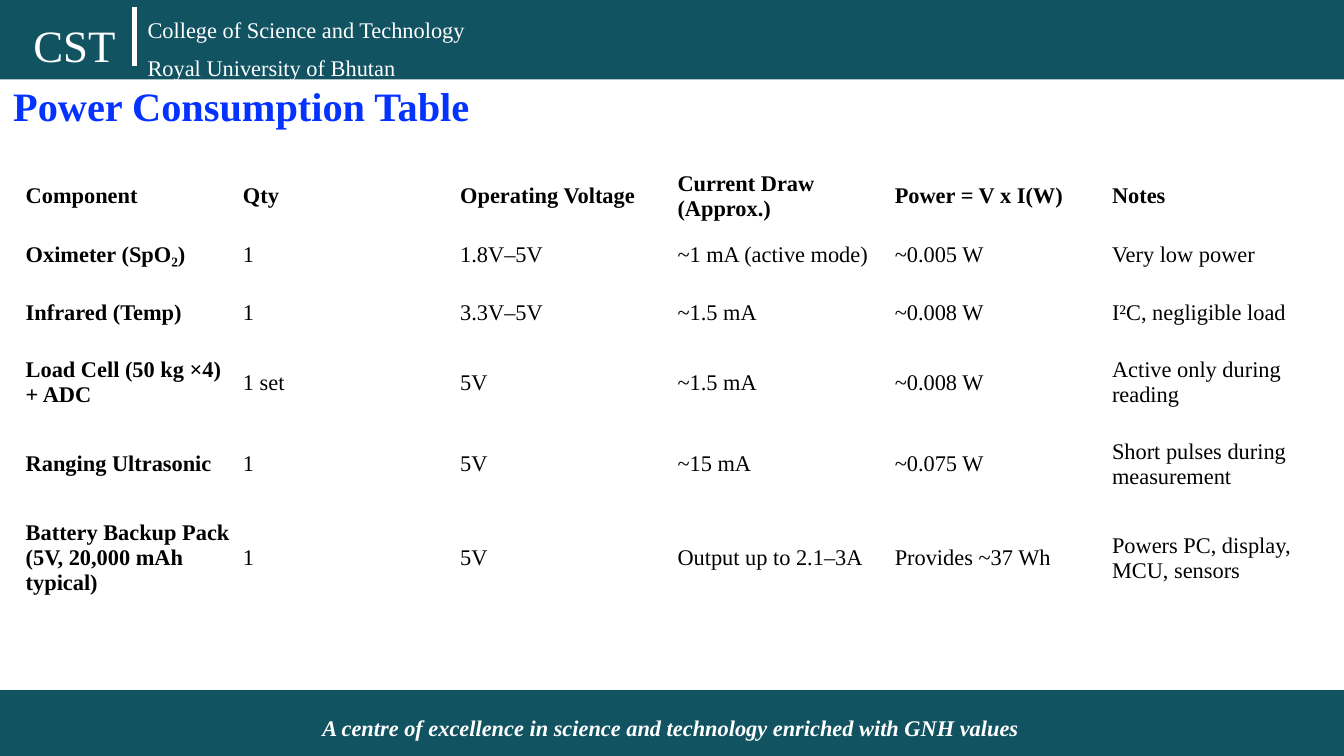
"""Build the power consumption table slide."""
from lxml.etree import SubElement
from pptx import Presentation
from pptx.dml.color import RGBColor
from pptx.enum.shapes import MSO_CONNECTOR, MSO_SHAPE
from pptx.enum.text import MSO_ANCHOR
from pptx.oxml.ns import qn
from pptx.util import Pt

COLORS = {"teal": "125362", "white": "FFFFFF", "blue": "0432FF", "black": "000000"}
FONT = "Times New Roman"
WIDTH, HEIGHT = 720, 405

BANDS = [(369.7, 35.3), (0, 42.5)]
TEXTS = [
    (["A centre of excellence in science and technology enriched with GNH values"],
     (165.6, 379.2, 392.4, 21.6), dict(bold=True, italic=True)),
    (["CST"], (10.8, 5.8, 59, 36), dict(size=24)),
    (["College of Science and Technology", "Royal University of Bhutan"],
     (72, 5.3, 187.2, 42.5), dict(before=6)),
    (["Power Consumption Table"], (0, 42.5, 620.6, 31.7),
     dict(size=21.6, color="blue", bold=True, spacing=0.9, anchor=MSO_ANCHOR.MIDDLE)),
]
TABLE = [
    ("Component", "Qty", "Operating Voltage", "Current Draw (Approx.)", "Power = V x I(W)", "Notes"),
    ("Oximeter (SpO₂)", "1", "1.8V–5V", "~1 mA (active mode)", "~0.005 W", "Very low power"),
    ("Infrared (Temp)", "1", "3.3V–5V", "~1.5 mA", "~0.008 W", "I²C, negligible load"),
    ("Load Cell (50 kg ×4) + ADC", "1 set", "5V", "~1.5 mA", "~0.008 W", "Active only during reading"),
    ("Ranging Ultrasonic", "1", "5V", "~15 mA", "~0.075 W", "Short pulses during measurement"),
    ("Battery Backup Pack (5V, 20,000 mAh typical)", "1", "5V", "Output up to 2.1–3A",
     "Provides ~37 Wh", "Powers PC, display, MCU, sensors"),
]
TABLE_LEFT, TABLE_TOP, TABLE_WIDTH = 10.8, 89.3, 698.4
ROW_HEIGHTS = [31, 31, 31, 43.8, 43.8, 57]


def rgb(name):
    return RGBColor.from_string(COLORS[name])


def write(tf, lines, size=12, color="white", bold=False, italic=False,
          before=0, spacing=None, anchor=MSO_ANCHOR.TOP):
    tf.word_wrap = True
    tf.vertical_anchor = anchor
    for i, line in enumerate(lines):
        p = tf.add_paragraph() if i else tf.paragraphs[0]
        if i:
            p.space_before = Pt(before)
        if spacing:
            p.line_spacing = spacing
        r = p.add_run()
        r.text = line
        r.font.name, r.font.size = FONT, Pt(size)
        r.font.bold, r.font.italic = bold, italic
        r.font.color.rgb = rgb(color)


def add_table(s):
    frame = s.shapes.add_table(len(TABLE), len(TABLE[0]), Pt(TABLE_LEFT), Pt(TABLE_TOP),
                               Pt(TABLE_WIDTH), Pt(sum(ROW_HEIGHTS)))
    table = frame.table
    table.first_row = table.horz_banding = False
    for col in table.columns:
        col.width = Pt(TABLE_WIDTH / len(TABLE[0]))
    for i, (values, height) in enumerate(zip(TABLE, ROW_HEIGHTS)):
        table.rows[i].height = Pt(height)
        for j, value in enumerate(values):
            cell = table.cell(i, j)
            cell.fill.background()
            cell.margin_left = cell.margin_right = Pt(3)
            cell.margin_top = cell.margin_bottom = Pt(1.5)
            write(cell.text_frame, [value], color="black", bold=i == 0 or j == 0)
            cell.vertical_anchor = MSO_ANCHOR.MIDDLE


def main():
    prs = Presentation()
    prs.slide_width, prs.slide_height = Pt(WIDTH), Pt(HEIGHT)
    s = prs.slides.add_slide(prs.slide_layouts[6])
    for top, height in BANDS:
        sp = s.shapes.add_shape(MSO_SHAPE.RECTANGLE, 0, Pt(top), Pt(WIDTH), Pt(height))
        sp.shadow.inherit = False
        sp.fill.solid()
        sp.fill.fore_color.rgb = rgb("teal")
        sp.line.fill.background()
    for lines, box, style in TEXTS:
        sp = s.shapes.add_textbox(*map(Pt, box))
        write(sp.text_frame, lines, **style)
    divider = s.shapes.add_connector(MSO_CONNECTOR.STRAIGHT, Pt(72), Pt(3.6), Pt(72), Pt(35.3))
    divider.line.color.rgb = rgb("white")
    divider.line.width = Pt(3)
    SubElement(divider._element.spPr, qn("a:effectLst"))
    add_table(s)
    prs.save("out.pptx")


if __name__ == "__main__":
    main()
